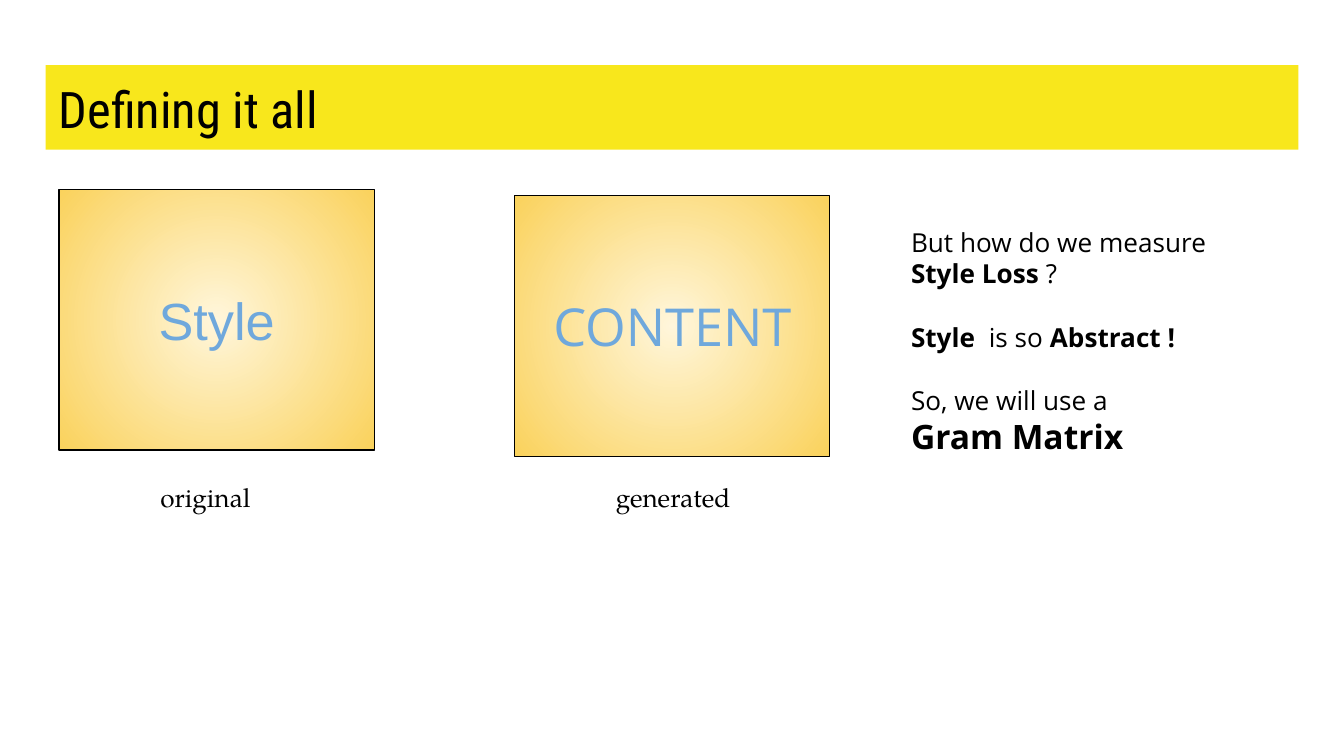
from lxml import etree
from pptx import Presentation
from pptx.dml.color import RGBColor
from pptx.enum.shapes import MSO_SHAPE
from pptx.enum.text import MSO_ANCHOR, PP_ALIGN
from pptx.oxml.ns import qn
from pptx.util import Pt

PX = 4572
RECTANGLE = MSO_SHAPE.RECTANGLE
TOP, MIDDLE = MSO_ANCHOR.TOP, MSO_ANCHOR.MIDDLE
LEFT, CENTER = PP_ALIGN.LEFT, PP_ALIGN.CENTER

BLACK = RGBColor(0x00, 0x00, 0x00)
YELLOW = RGBColor(0xF8, 0xE7, 0x1C)
CREAM = RGBColor(0xFF, 0xF6, 0xDB)
GOLD = RGBColor(0xFA, 0xD2, 0x5C)
BLUE = RGBColor(0x6F, 0xA8, 0xDC)

TITLE = "Defining it all"
CARDS = [
    ("Style", "Arial", (88, 282)),
    ("CONTENT", "Open Sans", (766, 291)),
]
CAPTIONS = [
    ("original", (219, 696, 206, 88)),
    ("generated", (897, 696, 240, 88)),
]
NOTES = [
    (14, 0, [("But how do we measure ", False), ("Style Loss ", True), ("?", False)]),
    (14, 17, [("Style ", True), (" is so ", False), ("Abstract !", True)]),
    (14, 17, [("So, we will use a", False)]),
    (18, 0, [("Gram Matrix", True)]),
]
CARD_SIZE = (469, 388)
INSET = 20


def px(*lengths):
    return [length * PX for length in lengths]


def write(box, paragraphs, font="Open Sans", color=BLACK, align=LEFT, anchor=TOP):
    frame = box.text_frame
    frame.word_wrap = True
    frame.vertical_anchor = anchor
    frame.margin_left = frame.margin_right = INSET * PX
    frame.margin_top = frame.margin_bottom = INSET * PX
    for index, (size, gap, spans) in enumerate(paragraphs):
        para = frame.add_paragraph() if index else frame.paragraphs[0]
        para.alignment = align
        if gap:
            para.space_before = Pt(gap)
        for text, bold in spans:
            span = para.add_run()
            span.text = text
            span.font.name = font
            span.font.size = Pt(size)
            span.font.bold = bold
            span.font.color.rgb = color


def add_rectangle(page, area):
    box = page.shapes.add_shape(RECTANGLE, *px(*area))
    box.shadow.inherit = False
    return box


def fill_radial(box, inner, outer):
    box.fill.gradient()
    for stop, color in zip(box.fill.gradient_stops, (inner, outer)):
        stop.color.rgb = color
    gradient = box.element.spPr.find(qn("a:gradFill"))
    gradient.remove(gradient.find(qn("a:lin")))
    circle = etree.SubElement(gradient, qn("a:path"), path="circle")
    etree.SubElement(circle, qn("a:fillToRect"), l="50000", t="50000", r="50000", b="50000")


def main():
    deck = Presentation()
    deck.slide_width, deck.slide_height = px(2000, 1125)
    page = deck.slides.add_slide(deck.slide_layouts[6])

    banner = add_rectangle(page, (68, 97, 1864, 126))
    banner.fill.solid()
    banner.fill.fore_color.rgb = YELLOW
    banner.line.fill.background()
    write(banner, [(27, 0, [(TITLE, False)])], font="Roboto Condensed")

    for label, font, corner in CARDS:
        card = add_rectangle(page, corner + CARD_SIZE)
        fill_radial(card, CREAM, GOLD)
        card.line.color.rgb = BLACK
        card.line.width = Pt(0.75)
        write(card, [(28, 0, [(label, False)])], font=font, color=BLUE,
              align=CENTER, anchor=MIDDLE)

    for caption, area in CAPTIONS:
        box = page.shapes.add_textbox(*px(*area))
        write(box, [(14, 0, [(caption, False)])], font="TeX Gyre Pagella")

    write(page.shapes.add_textbox(*px(1336, 317, 576, 384)), NOTES)
    deck.save("out.pptx")


if __name__ == "__main__":
    main()
